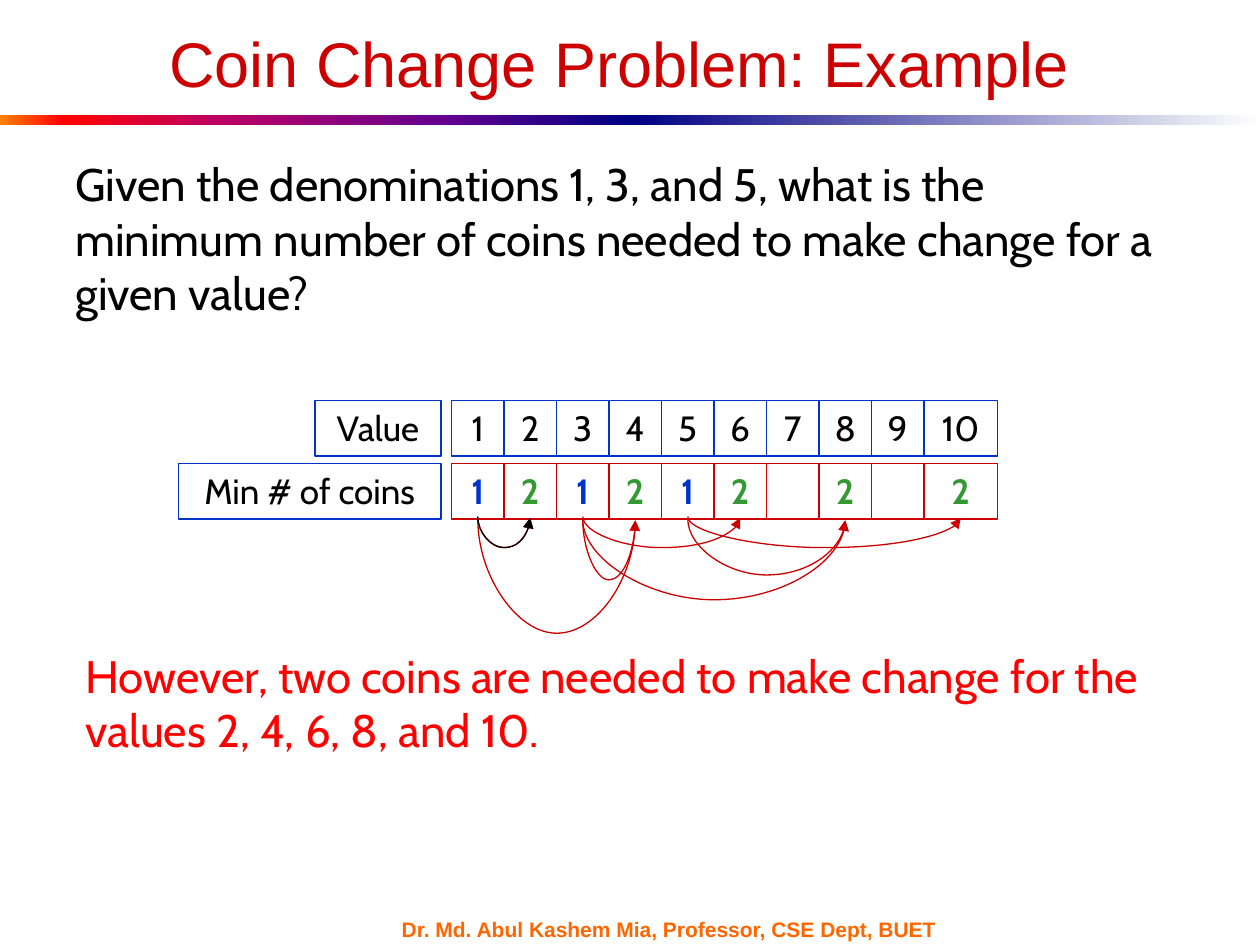
"""Builds the coin change example slide with its value table and arcs."""
from lxml import etree
from pptx import Presentation, util as u
from pptx.dml.color import RGBColor
from pptx.enum import shapes, text
from pptx.oxml.ns import qn

BLACK = RGBColor(0, 0, 0)
RED = RGBColor(0xCC, 0, 0)
BRIGHT_RED = RGBColor(0xFF, 0, 0)
BLUE = RGBColor(0, 0x33, 0xCC)
GREEN = RGBColor(0x33, 0x99, 0x33)
ORANGE = RGBColor(0xFF, 0x66, 0)
RAINBOW = [(0, "FF8200"), (10, "FF0000"), (35, "BA0066"), (70, "66008F"), (100, "000082")]
FADE = [(0, "000082"), (100, "FFFFFF")]

prs = Presentation()
prs.slide_width, prs.slide_height = u.Inches(10), u.Inches(7.5)
slide = prs.slides.add_slide(prs.slide_layouts[6])
COL = 1 / 12
FIRST, SPAN, LAST_SPAN = 43, 5, 7
VALUE_ROW, COINS_ROW, ROW_H = 3.18, 3.68, 0.44


def add_rect(x, y, w, h, line=None):
    s = slide.shapes.add_shape(shapes.MSO_SHAPE.RECTANGLE, *map(u.Inches, (x, y, w, h)))
    s.shadow.inherit = False
    s.fill.background()
    if line is None:
        s.line.fill.background()
    else:
        s.line.color.rgb = line
        s.line.width = u.Pt(0.75)
    return s


def write(s, words, size, color, font="Cabin", bold=False, align=text.PP_ALIGN.LEFT,
          anchor=text.MSO_ANCHOR.TOP):
    tf = s.text_frame
    tf.word_wrap = True
    tf.vertical_anchor = anchor
    p = tf.paragraphs[0]
    p.text = words
    p.alignment = align
    p.font.name, p.font.size, p.font.bold = font, u.Pt(size), bold
    p.font.color.rgb = color


for x, stops in ((0, RAINBOW), (5, FADE)):
    s = add_rect(x, 0.91, 5, 0.08)
    s.fill.gradient()
    s.fill.gradient_angle = 0
    gs_list = s._element.spPr.find(qn("a:gradFill")).find(qn("a:gsLst"))
    for gs in list(gs_list):
        gs_list.remove(gs)
    for pos, color in stops:
        gs = etree.SubElement(gs_list, qn("a:gs"), pos=str(pos * 1000))
        etree.SubElement(gs, qn("a:srgbClr"), val=color)

CENTER, MIDDLE = text.PP_ALIGN.CENTER, text.MSO_ANCHOR.MIDDLE
for box, words, size, color, font, bold, align, anchor in (
    ((3.09, 7.28, 4.67, 0.18), "Dr. Md. Abul Kashem Mia, Professor, CSE Dept, BUET",
     12, ORANGE, "Arial", True, text.PP_ALIGN.LEFT, MIDDLE),
    ((0.5, 0.05, 8.83, 0.89), "Coin Change Problem: Example",
     36, RED, "Arial", False, CENTER, MIDDLE),
    ((0.5, 1.19, 8.83, 1.41),
     "Given the denominations 1, 3, and 5, what is the minimum number of coins "
     "needed to make change for a given value?",
     26, BLACK, "Cabin", False, text.PP_ALIGN.LEFT, text.MSO_ANCHOR.TOP),
    ((0.58, 5.09, 8.83, 0.98),
     "However, two coins are needed to make change for the values 2, 4, 6, 8, and 10.",
     26, BRIGHT_RED, "Cabin", False, text.PP_ALIGN.LEFT, text.MSO_ANCHOR.TOP),
):
    s = slide.shapes.add_textbox(*map(u.Inches, box))
    write(s, words, size, color, font, bold, align, anchor)

for label, y, cols in (("Value", VALUE_ROW, 12), ("Min # of coins", COINS_ROW, 25)):
    s = add_rect((FIRST - 1 - cols) * COL, y, cols * COL, ROW_H, BLUE)
    write(s, label, 20, BLACK, align=CENTER)

min_coins = {1: 1, 2: 2, 3: 1, 4: 2, 5: 1, 6: 2, 8: 2, 10: 2}
centers = {}
for value in range(1, 11):
    x = (FIRST + (value - 1) * SPAN) * COL
    w = (LAST_SPAN if value == 10 else SPAN) * COL
    centers[value] = x + w / 2
    write(add_rect(x, VALUE_ROW, w, ROW_H, BLUE), str(value), 20, BLACK, align=CENTER)
    s = add_rect(x, COINS_ROW, w, ROW_H, RED)
    if value in min_coins:
        count = min_coins[value]
        write(s, str(count), 20, BLUE if count == 1 else GREEN, bold=True, align=CENTER)

DROP = 0.01
for start, end, top, bottom, color in (
    (1, 4, 4.12, 5.04, RED), (3, 4, 4.12, 4.61, RED), (3, 6, 4.1, 4.35, RED),
    (5, 8, 4.12, 4.57, RED), (3, 8, 4.12, 4.77, RED), (5, 10, 4.1, 4.35, RED),
    (1, 2, 4.1, 4.35, RED), (1, 2, 4.1, 4.35, BLACK),
):
    length = centers[end] - centers[start]
    x = (centers[start] + centers[end] - DROP) / 2
    y = top + (DROP - length) / 2
    s = slide.shapes.add_connector(shapes.MSO_CONNECTOR.CURVE,
                                   *map(u.Inches, (x, y, x + DROP, y + length)))
    s.line.color.rgb = color
    s.line.width = u.Pt(0.75)
    sp = s._element.spPr
    xfrm = sp.find(qn("a:xfrm"))
    xfrm.set("rot", "16200000")
    xfrm.set("flipH", "1")
    bend = round((bottom - top) / DROP * 100000)
    guides = sp.find(qn("a:prstGeom")).find(qn("a:avLst"))
    etree.SubElement(guides, qn("a:gd"), name="adj1", fmla=f"val {bend}")
    etree.SubElement(sp.find(qn("a:ln")), qn("a:tailEnd"), type="triangle")
    etree.SubElement(sp, qn("a:effectLst"))

prs.save("out.pptx")
